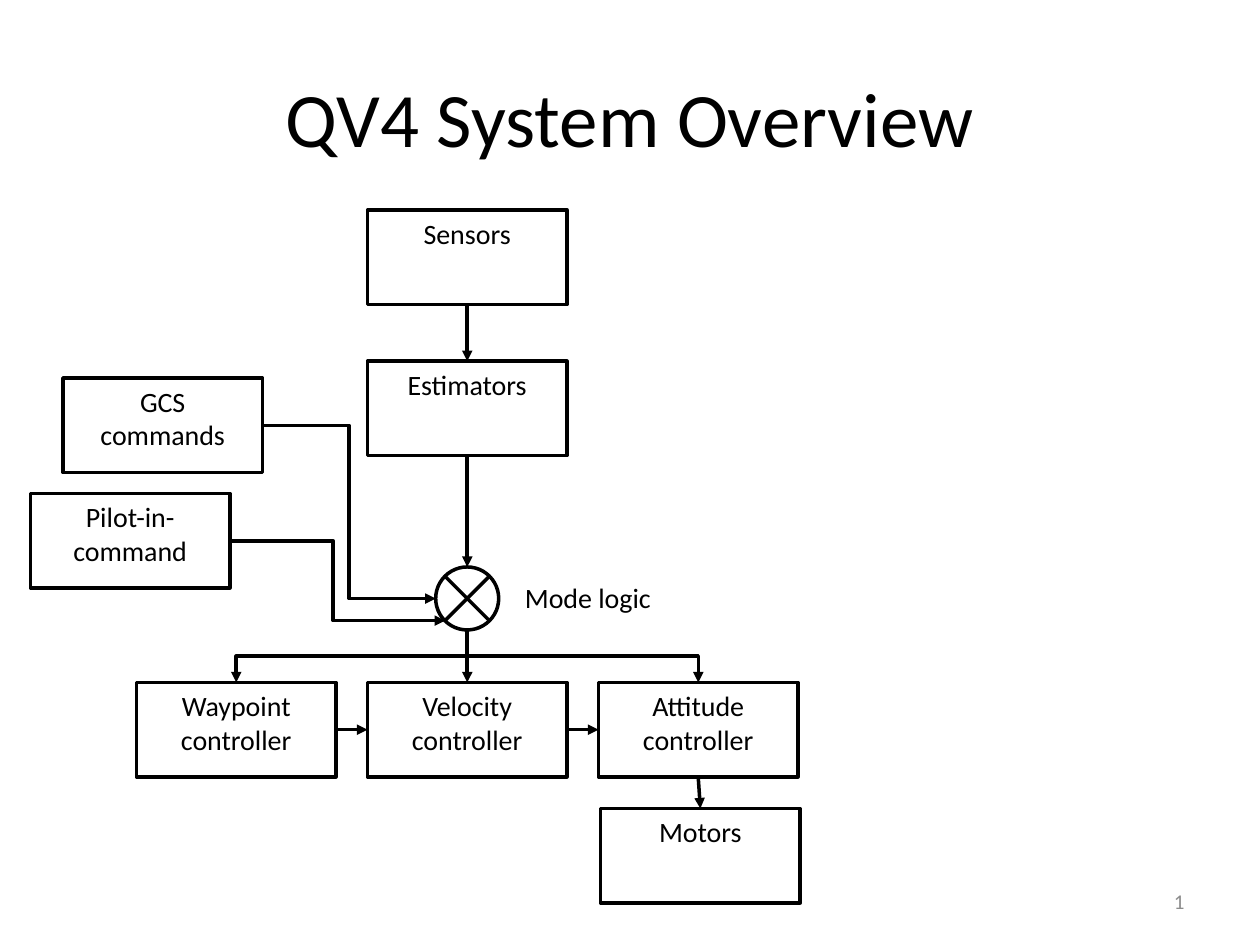
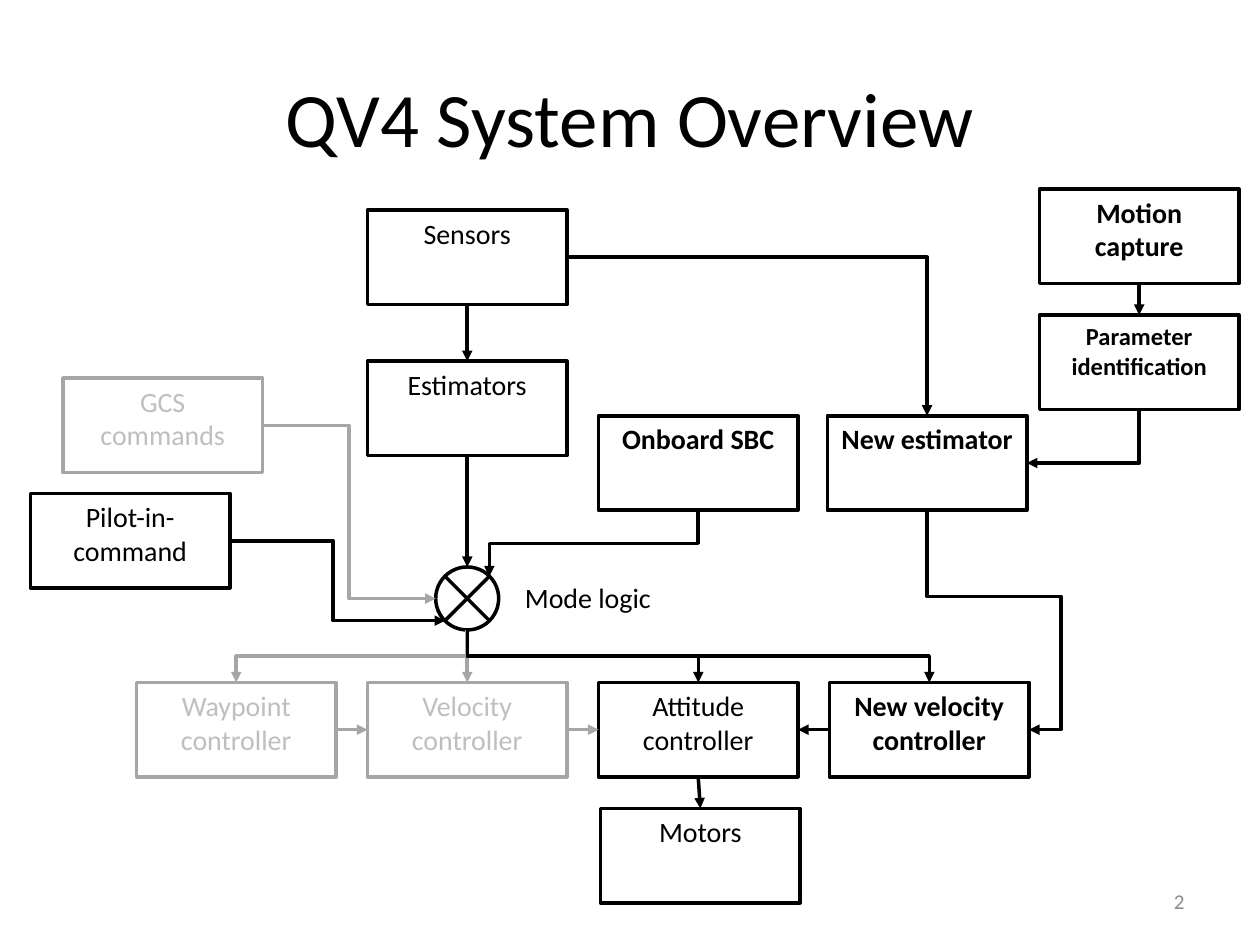
"""Build two slides that show a flight control system before and after its extension."""
from lxml import etree
from pptx import Presentation
from pptx import util as u
from pptx.dml.color import RGBColor
from pptx.enum import shapes, text
from pptx.oxml.ns import qn

COLOURS = {"ink": "000000", "paper": "FFFFFF", "muted_line": "A6A6A6",
           "muted_text": "BFBFBF", "number": "8C8C8C"}
FONT = "Calibri"
TITLE = "QV4 System Overview"
JUNCTION = "Mode logic"
UNIT = 10 / 120
BOX_SIZE = (19, 9)
COLUMNS = [13 + 22 * column for column in range(4)]
CONTROLLER_ROW, NEW_ROW = 65, 39.6
FRAMES = {"title": (6, 3.6, 108, 15), "number": (86, 83.4, 28, 4.8),
          "junction": (41.5, 54, 6, 6), "label": (47.5, 54.7, 17, 4.4)}

BASE_BOXES = {
    "Sensors": (COLUMNS[1], 20),
    "Estimators": (COLUMNS[1], 34.4),
    "Waypoint controller": (COLUMNS[0], CONTROLLER_ROW),
    "Velocity controller": (COLUMNS[1], CONTROLLER_ROW),
    "Attitude controller": (COLUMNS[2], CONTROLLER_ROW),
    "GCS commands": (6, 36),
    "Pilot-in-command": (2.9, 47),
    "Motors": (57.2, 77),
}
NEW_BOXES = {
    "New estimator": (78.8, NEW_ROW),
    "Onboard SBC": (COLUMNS[2], NEW_ROW),
    "New velocity controller": (COLUMNS[3], CONTROLLER_ROW),
    "Parameter identification": (99, 30),
    "Motion capture": (99, 18),
}
SMALL_BOXES = {"Parameter identification"}

STRAIGHT, CORNER, ELBOW, HOOK = "line", "bentConnector2", "bentConnector3", "bentConnector4"
BASE_LINKS = [
    ("Sensors", "bottom", "Estimators", "top", STRAIGHT, ()),
    ("Estimators", "bottom", JUNCTION, "top", STRAIGHT, ()),
    ("GCS commands", "right", JUNCTION, "left", ELBOW, (0.5,)),
    ("Pilot-in-command", "right", JUNCTION, "bottom left", HOOK, (0.479, 1)),
    (JUNCTION, "bottom", "Waypoint controller", "top", ELBOW, (0.5,)),
    (JUNCTION, "bottom", "Attitude controller", "top", ELBOW, (0.5,)),
    (JUNCTION, "bottom", "Velocity controller", "top", STRAIGHT, ()),
    ("Waypoint controller", "right", "Velocity controller", "left", STRAIGHT, ()),
    ("Velocity controller", "right", "Attitude controller", "left", STRAIGHT, ()),
    ("Attitude controller", "bottom", "Motors", "top", STRAIGHT, ()),
]
NEW_LINKS = [
    ("New velocity controller", "left", "Attitude controller", "right", STRAIGHT, ()),
    (JUNCTION, "bottom", "New velocity controller", "top", ELBOW, (0.5,)),
    ("Onboard SBC", "bottom", JUNCTION, "top right", ELBOW, (0.5,)),
    ("Sensors", "right", "New estimator", "top", CORNER, ()),
    ("New estimator", "bottom", "New velocity controller", "right", HOOK, (0.393, 1.312)),
    ("Parameter identification", "bottom", "New estimator", "right", CORNER, ()),
    ("Motion capture", "bottom", "Parameter identification", "top", STRAIGHT, ()),
]
SLIDES = [
    {"new_boxes": {}, "links": BASE_LINKS, "muted": set()},
    {"new_boxes": NEW_BOXES, "links": BASE_LINKS + NEW_LINKS,
     "muted": {"GCS commands", "Waypoint controller", "Velocity controller"}},
]

SITE_SHARES = {"top": (0.5, 0), "top left": (0.15, 0.15), "left": (0, 0.5),
               "bottom left": (0.15, 0.85), "bottom": (0.5, 1),
               "bottom right": (0.85, 0.85), "right": (1, 0.5), "top right": (0.85, 0.15)}
ROUND_SITES = list(SITE_SHARES)
BOX_SITES = ["top", "left", "bottom", "right"]


def colour(name):
    """Return a named colour."""
    return RGBColor.from_string(COLOURS[name])


def grid(*lengths):
    """Turn grid units into slide lengths."""
    return [u.Inches(length * UNIT) for length in lengths]


def write(shape, words, size=16, ink="ink", bold=False,
          align=text.PP_ALIGN.CENTER, anchor=text.MSO_ANCHOR.TOP):
    """Put one formatted paragraph into a shape."""
    frame = shape.text_frame
    frame.word_wrap, frame.vertical_anchor = True, anchor
    paragraph = frame.paragraphs[0]
    paragraph.alignment = align
    run = paragraph.add_run()
    run.text = words
    for name, value in {"name": FONT, "size": u.Pt(size), "bold": bold}.items():
        setattr(run.font, name, value)
    run.font.color.rgb = colour(ink)


def add_text(slide, frame, words, **style):
    """Add a text box on a named frame."""
    write(slide.shapes.add_textbox(*grid(*FRAMES[frame])), words, **style)


def add_outlined(slide, kind, frame, line):
    """Add a white shape with a coloured outline."""
    shape = slide.shapes.add_shape(kind, *grid(*frame))
    shape.shadow.inherit = False
    shape.fill.solid()
    shape.fill.fore_color.rgb = colour("paper")
    shape.line.color.rgb = colour(line)
    shape.line.width = u.Pt(2)
    return shape


def site_point(shape, site):
    """Return where a connection site lies on the slide."""
    across, down = SITE_SHARES[site]
    return shape.left + across * shape.width, shape.top + down * shape.height


def add_link(slide, nodes, link, line):
    """Join two nodes with an arrow, turned when it leaves downwards."""
    source, source_site, target, target_site, preset, bends = link
    start_x, start_y = site_point(nodes[source], source_site)
    end_x, end_y = site_point(nodes[target], target_site)
    rotation = 0
    kind = shapes.MSO_CONNECTOR.STRAIGHT if preset == STRAIGHT else shapes.MSO_CONNECTOR.ELBOW
    if preset != STRAIGHT and source_site == "bottom":
        rotation, side = (90, 1) if end_x < start_x else (270, -1)
        middle_x, middle_y = (start_x + end_x) / 2, (start_y + end_y) / 2
        half_width, half_height = side * (end_y - start_y) / 2, abs(end_x - start_x) / 2
        start_x, end_x = middle_x - half_width, middle_x + half_width
        start_y, end_y = middle_y - half_height, middle_y + half_height
    connector = slide.shapes.add_connector(
        kind, *[u.Emu(int(value)) for value in (start_x, start_y, end_x, end_y)])
    connector.line.color.rgb = colour(line)
    connector.line.width = u.Pt(2)
    properties = connector._element.spPr
    if rotation:
        properties.find(qn("a:xfrm")).set("rot", str(rotation * 60000))
    geometry = properties.find(qn("a:prstGeom"))
    geometry.set("prst", preset)
    for number, share in enumerate(bends, 1):
        etree.SubElement(geometry.find(qn("a:avLst")), qn("a:gd"),
                         name=f"adj{number}", fmla=f"val {round(share * 100000)}")
    etree.SubElement(properties.find(qn("a:ln")), qn("a:tailEnd"), type="triangle")
    etree.SubElement(properties, qn("a:effectLst"))
    ends = connector._element.find(".//" + qn("p:cNvCxnSpPr"))
    for tag, node, site in (("a:stCxn", source, source_site), ("a:endCxn", target, target_site)):
        sites = ROUND_SITES if node == JUNCTION else BOX_SITES
        etree.SubElement(ends, qn(tag), id=str(nodes[node].shape_id), idx=str(sites.index(site)))


def build_slide(presentation, number, content):
    """Draw one state of the system."""
    slide = presentation.slides.add_slide(presentation.slide_layouts[6])
    middle = text.MSO_ANCHOR.MIDDLE
    add_text(slide, "title", TITLE, size=44, anchor=middle)
    add_text(slide, "number", str(number), size=12, ink="number",
             align=text.PP_ALIGN.RIGHT, anchor=middle)
    add_text(slide, "label", JUNCTION)
    kinds = shapes.MSO_SHAPE
    nodes = {JUNCTION: add_outlined(slide, kinds.FLOWCHART_SUMMING_JUNCTION,
                                    FRAMES["junction"], "ink")}
    muted = content["muted"]
    for name, place in {**BASE_BOXES, **content["new_boxes"]}.items():
        line, ink = ("muted_line", "muted_text") if name in muted else ("ink", "ink")
        nodes[name] = add_outlined(slide, kinds.RECTANGLE, place + BOX_SIZE, line)
        write(nodes[name], name, size=14 if name in SMALL_BOXES else 16,
              ink=ink, bold=name in NEW_BOXES)
    for link in content["links"]:
        add_link(slide, nodes, link, "muted_line" if muted & {link[0], link[2]} else "ink")


def main():
    """Build and save the presentation."""
    presentation = Presentation()
    presentation.slide_width, presentation.slide_height = grid(120, 90)
    for number, content in enumerate(SLIDES, 1):
        build_slide(presentation, number, content)
    presentation.save("out.pptx")


main()
